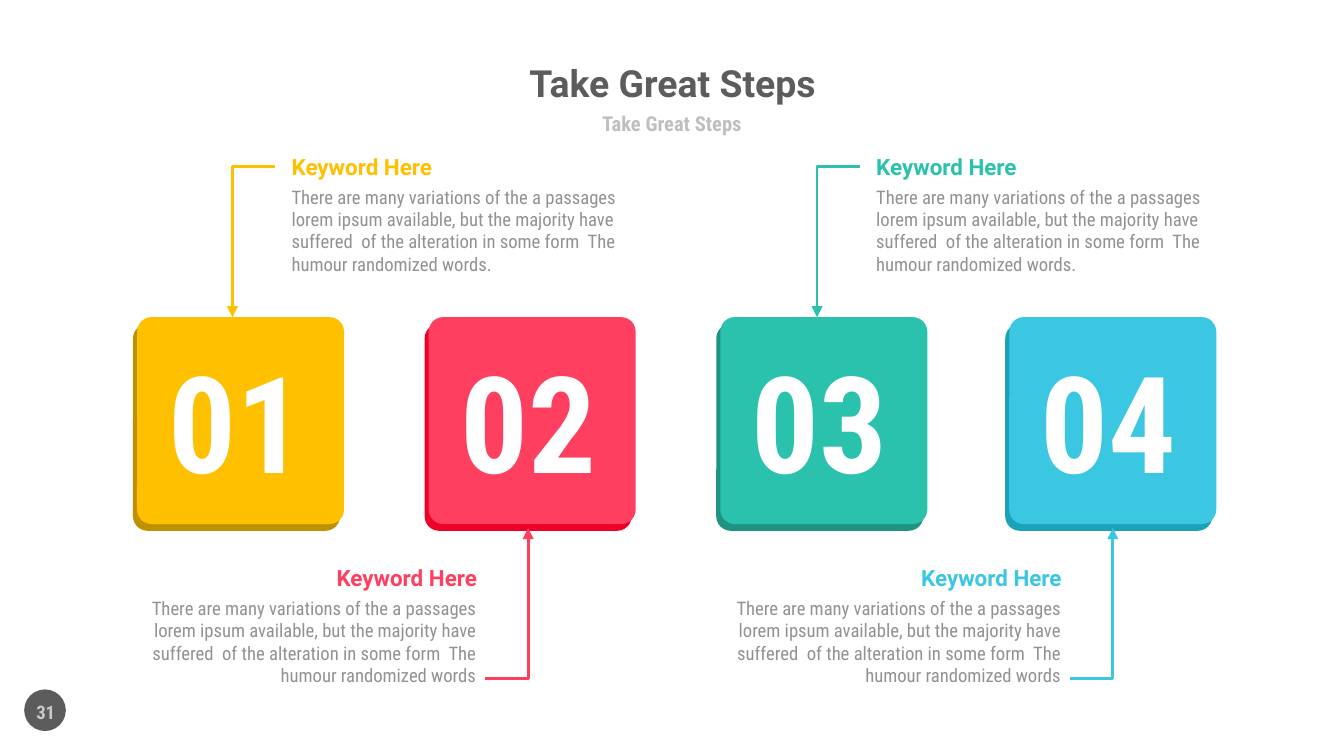
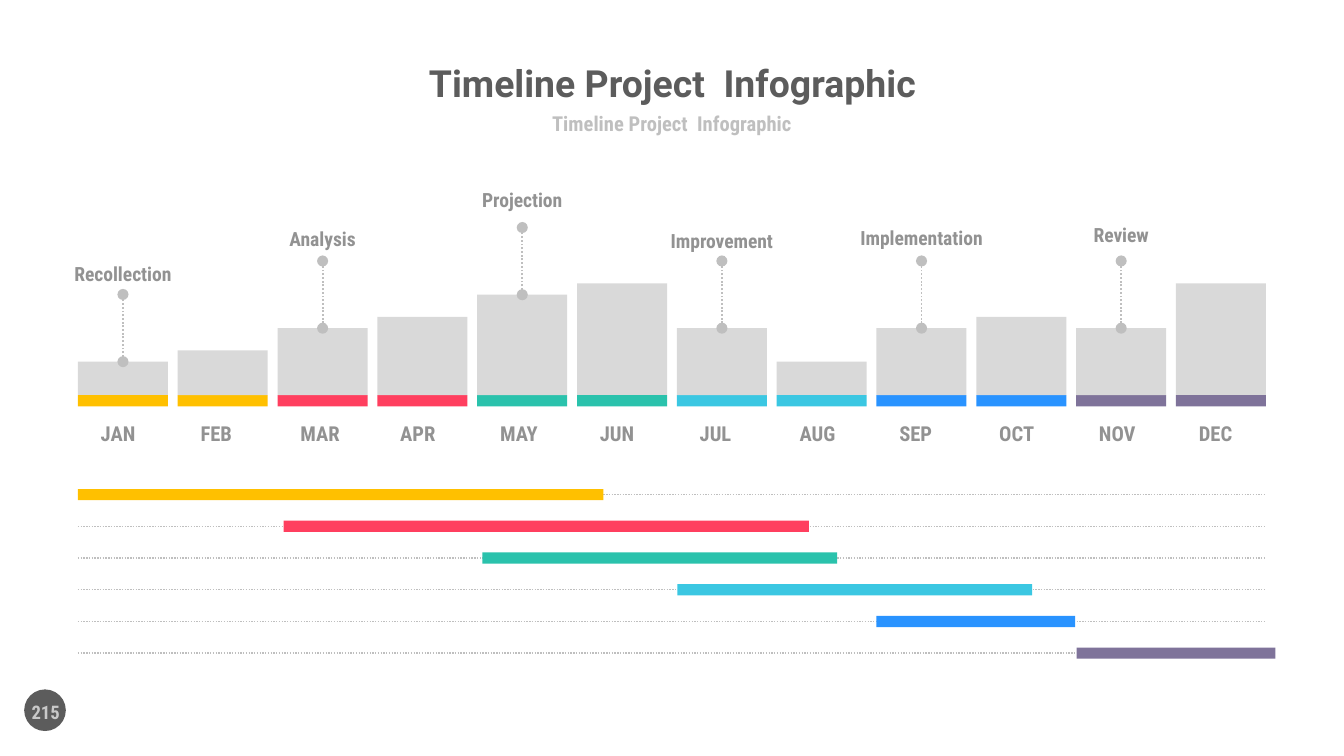
"""Build a four-step slide and a yearly project timeline slide."""
from lxml import etree
from pptx import Presentation
from pptx import util as u
from pptx.dml.color import RGBColor
from pptx.enum import dml, shapes, text
from pptx.oxml import ns

COLORS = {
    "yellow": "FFC000", "red": "FF3F5F", "teal": "2AC2AC",
    "cyan": "3BC7E2", "blue": "2993FF", "purple": "7F739A",
    "dark yellow": "BF9000", "dark red": "EE0028",
    "dark teal": "209281", "dark cyan": "1CA1BA",
    "title": "5C5C5C", "body": "929292", "subtitle": "BFBFBF",
    "number": "C9C9C9", "bar": "D9D9D9", "white": "FFFFFF",
}
HEADING, CONDENSED = "Roboto", "Roboto Condensed"
LEFT, CENTER, RIGHT = text.PP_ALIGN.LEFT, text.PP_ALIGN.CENTER, text.PP_ALIGN.RIGHT
MIDDLE, TOP = text.MSO_ANCHOR.MIDDLE, text.MSO_ANCHOR.TOP
RECT = shapes.MSO_SHAPE.RECTANGLE
CELL = u.Inches(0.1)


def add_block(page, kind, color, *area):
    """Draw a plain filled shape; the area is in grid cells."""
    block = page.shapes.add_shape(kind, *[round(n * CELL) for n in area])
    block.shadow.inherit = False
    block.fill.solid()
    block.fill.fore_color.rgb = RGBColor.from_string(COLORS[color])
    block.line.fill.background()
    return block


def write(page, phrase, area, size, color, font=CONDENSED, align=CENTER,
          anchor=TOP, bold=True, wrap=False, box=None):
    """Write one paragraph in a text box or in the given placeholder."""
    left, top, width, height = [round(n * CELL) for n in area]
    grow = text.MSO_AUTO_SIZE.NONE if box else text.MSO_AUTO_SIZE.SHAPE_TO_FIT_TEXT
    box = box or page.shapes.add_textbox(left, top, width, height)
    box.left, box.top, box.width, box.height = left, top, width, height
    frame = box.text_frame
    frame.margin_left = frame.margin_right = frame.margin_top = frame.margin_bottom = 0
    frame.word_wrap, frame.auto_size, frame.vertical_anchor = wrap, grow, anchor
    para = frame.paragraphs[0]
    para.text, para.alignment, para.space_before = phrase, align, u.Pt(0)
    if box.is_placeholder:
        layout = para._p.get_or_add_pPr()
        layout.set("marL", "0")
        layout.set("indent", "0")
        etree.SubElement(layout, ns.qn("a:buNone"))
    para.font.name, para.font.size, para.font.bold = font, u.Pt(size), bold
    para.font.color.rgb = RGBColor.from_string(COLORS[color])


deck = Presentation()
deck.slide_width, deck.slide_height = 100 * CELL, round(56.25 * CELL)
lines = []

pages = []
for heading, number in [("Take Great Steps", "31"), ("Timeline Project  Infographic", "215")]:
    page = deck.slides.add_slide(deck.slide_layouts[1])
    write(page, heading, (19.2, 4.2, 61.7, 3.9), 20, "title", HEADING,
          anchor=MIDDLE, box=page.shapes.title)
    write(page, heading, (27.5, 8.1, 45, 2.2), 11, "subtitle",
          anchor=MIDDLE, box=page.placeholders[1])
    add_block(page, shapes.MSO_SHAPE.OVAL, "title", 1.8, 51.3, 3.1, 3.1)
    write(page, number, (0.9, 52.05, 5, 1.8), 10, "number", anchor=MIDDLE, wrap=True)
    pages.append(page)
steps_page, timeline_page = pages

STEP_COLORS = ["yellow", "red", "teal", "cyan"]
for index, (color, left) in enumerate(zip(STEP_COLORS, [9.9, 31.6, 53.3, 74.8])):
    for shade, x, y in [("dark " + color, left, 24.1), (color, left + 0.3, 23.6)]:
        card = add_block(steps_page, shapes.MSO_SHAPE.ROUNDED_RECTANGLE, shade, x, y, 15.4, 15.4)
        card.adjustments[0] = 0.07
    write(steps_page, f"0{index + 1}", (left + 2.1, 25.2, 11.2, 12.1), 72, "white")

STORY = ("There are many variations of the a passages lorem ipsum available, but the majority "
         "have suffered  of the alteration in some form  The humour randomized words")
for index, color in enumerate(STEP_COLORS):
    pair, below = divmod(index, 2)
    arrow_x = (39.3 if below else 17.3) + 43.5 * pair
    if below:
        align, story, top = RIGHT, STORY, 42
        story_x, keyword_x = arrow_x - 31.3, arrow_x - 15.1
        ends = (arrow_x - 3.2, 50.5, arrow_x, 39.3)
    else:
        align, story, top = LEFT, STORY + ".", 11.4
        story_x = keyword_x = arrow_x + 4.4
        ends = (arrow_x + 3.2, 12.4, arrow_x, 23.6)
    write(steps_page, story, (story_x, top + 2.4, 27.4, 6.7), 10, "body",
          align=align, bold=False, wrap=True)
    write(steps_page, "Keyword Here", (keyword_x, top, 11.3, 2), 12, color,
          HEADING, align, MIDDLE)
    elbow = steps_page.shapes.add_connector(
        shapes.MSO_CONNECTOR.ELBOW, *[round(n * CELL) for n in ends])
    elbow.element.spPr.find(ns.qn("a:prstGeom")).set("prst", "bentConnector2")
    lines.append((elbow, color, 1.5, False, {"tailEnd": "triangle"}))

MARGIN, SPAN, BAR_WIDTH, BAND = 5.8, 88.4, 6.7, 0.83
BAR_FOOT = 29.4
PITCH = (SPAN - BAR_WIDTH) / 11
PHASE_COLORS = ["yellow", "red", "teal", "cyan", "blue", "purple"]
MONTHS = ["JAN", "FEB", "MAR", "APR", "MAY", "JUN", "JUL", "AUG", "SEP", "OCT", "NOV", "DEC"]
BAR_UNITS = [3, 4, 6, 7, 9, 10, 6, 3, 6, 7, 6, 10]
bars = []
for index, (month, units) in enumerate(zip(MONTHS, BAR_UNITS)):
    left = MARGIN + index * PITCH
    write(timeline_page, month, (left + 1.7, 31.3, 3.3, 1.9), 11, "body", align=LEFT)
    add_block(timeline_page, RECT, PHASE_COLORS[index // 2], left, BAR_FOOT, BAR_WIDTH, BAND)
    height = units * BAND
    bars.append(add_block(timeline_page, RECT, "bar", left, BAR_FOOT - height, BAR_WIDTH, height))

PHASES = [("Recollection", 0, 8.7, 19.5), ("Analysis", 2, 6.1, 16.9),
          ("Projection", 4, 7.2, 14), ("Improvement", 6, 9.3, 17),
          ("Implementation", 8, 10.9, 16.8), ("Review", 10, 5.1, 16.6)]
for phase, month, width, top in PHASES:
    bar = bars[month]
    center = bar.left + bar.width // 2
    write(timeline_page, phase, (center / CELL - width / 2, top, width, 1.8), 10.5, "body")
    pin = timeline_page.shapes.add_connector(
        shapes.MSO_CONNECTOR.STRAIGHT, center, bar.top, center, bar.top - 5 * CELL)
    pin.begin_connect(bar, 0)
    lines.append((pin, "subtitle", 1, True, {"headEnd": "oval", "tailEnd": "oval"}))

TASKS = [(5.8, 39.1), (21.1, 39.1), (35.9, 26.4), (50.4, 26.4), (65.2, 14.8), (80.1, 14.8)]
for index, (color, (left, width)) in enumerate(zip(PHASE_COLORS, TASKS)):
    row = 36.8 + 2.36 * index
    track = timeline_page.shapes.add_connector(
        shapes.MSO_CONNECTOR.STRAIGHT,
        *[round(n * CELL) for n in (MARGIN, row, MARGIN + SPAN, row)])
    lines.append((track, "subtitle", 0.75, True, {}))
    add_block(timeline_page, RECT, color, left, row - BAND / 2, width, BAND)

for line, color, weight, dotted, tips in lines:
    line.line.color.rgb = RGBColor.from_string(COLORS[color])
    line.line.width = u.Pt(weight)
    if dotted:
        line.line.dash_style = dml.MSO_LINE.ROUND_DOT
    outline = line.element.spPr.find(ns.qn("a:ln"))
    for tip, kind in tips.items():
        etree.SubElement(outline, ns.qn("a:" + tip), type=kind)
    etree.SubElement(line.element.spPr, ns.qn("a:effectLst"))

deck.save("out.pptx")
